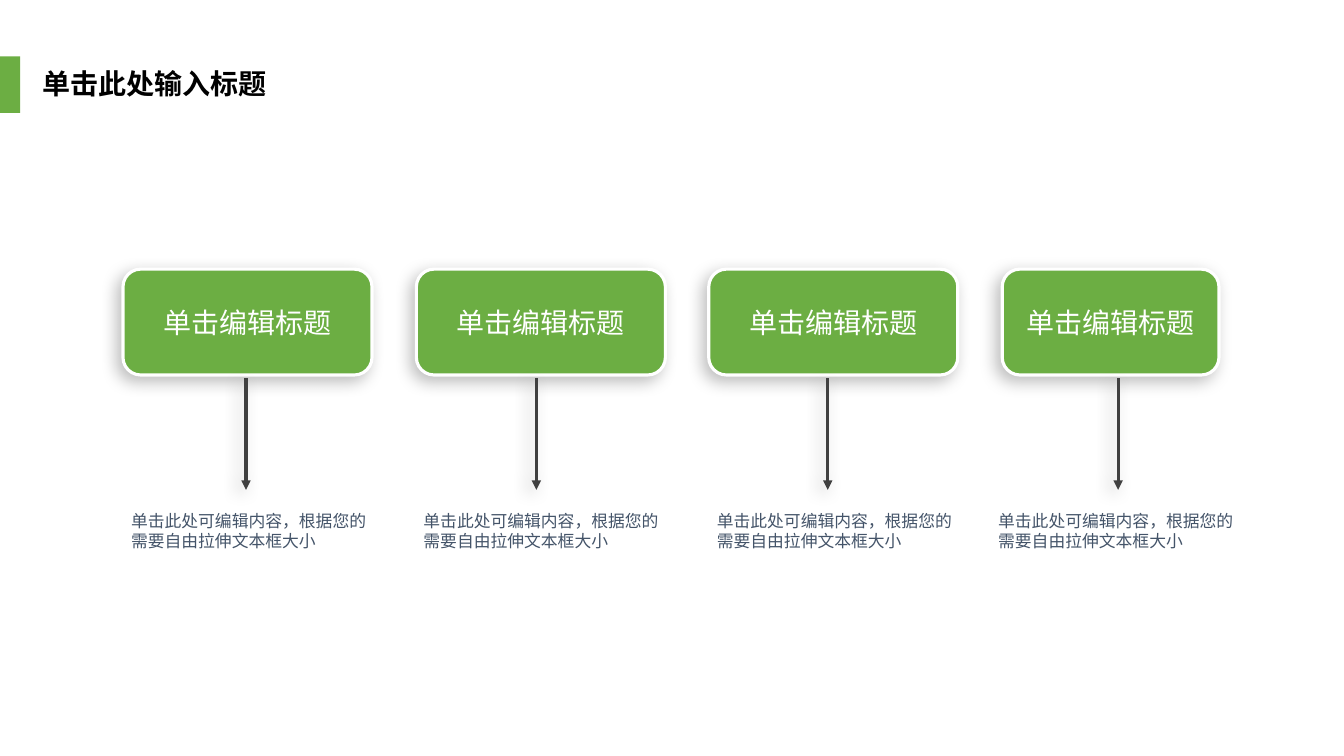
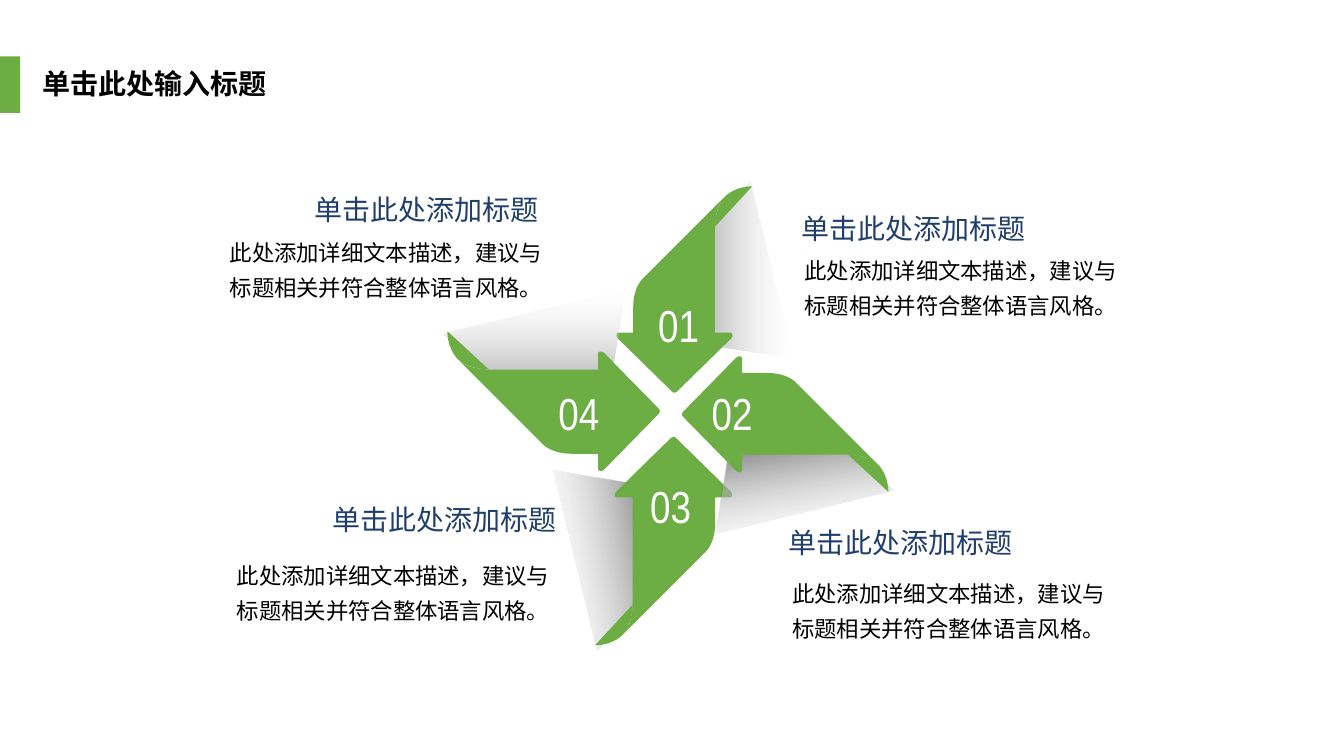
from dataclasses import dataclass

from lxml.etree import SubElement
from pptx import Presentation
from pptx.dml.color import RGBColor
from pptx.enum.shapes import MSO_CONNECTOR as Connector, MSO_SHAPE as Preset
from pptx.enum.text import MSO_ANCHOR as Anchor, MSO_AUTO_SIZE as AutoSize, PP_ALIGN as Align
from pptx.oxml import parse_xml
from pptx.oxml.ns import nsdecls, qn
from pptx.util import Inches, Pt

Point = tuple[float, float]


@dataclass(frozen=True)
class Theme:
    green: str = "6CAE43"
    white: str = "FFFFFF"
    black: str = "000000"
    arrow: str = "404040"
    caption: str = "445469"
    heading: str = "203E6B"
    shade_dark: str = "808080"
    shade_light: str = "F2F2F2"
    east_asian: str = "Noto Sans CJK SC"
    box_font: str = "Calibri"
    caption_font: str = "Arial"
    narrow_font: str = "Arial Narrow"
    title_size: int = 20
    caption_size: int = 12
    body_size: int = 16
    number_size: int = 32
    line_width: float = 2.25


THEME = Theme()


@dataclass(frozen=True)
class Style:
    font: str
    size: int
    color: str
    bold: bool = False
    align: Align = Align.LEFT
    anchor: Anchor = Anchor.TOP
    spacing: float = 1.0
    inset: bool = True


@dataclass(frozen=True)
class Step:
    box_left: float
    box_width: float
    arrow_x: float
    caption_left: float


@dataclass(frozen=True)
class Blade:
    number: str
    tip: Point
    quarter_turns: int
    scale: float
    number_at: Point
    dark_stop: int = 0
    tilt: int = 0


@dataclass(frozen=True)
class Note:
    heading_at: Point
    body_at: Point
    align: Align


TITLE = Style(THEME.east_asian, THEME.title_size, THEME.black, bold=True)
BOX = Style(THEME.box_font, THEME.title_size, THEME.white, align=Align.CENTER, anchor=Anchor.MIDDLE)
CAPTION = Style(THEME.caption_font, THEME.caption_size, THEME.caption, inset=False)
NUMBER = Style(THEME.narrow_font, THEME.number_size, THEME.white, anchor=Anchor.MIDDLE)

STEPS = [
    Step(1.22, 2.47, 2.44, 1.3),
    Step(4.13, 2.47, 5.32, 4.2),
    Step(7.03, 2.47, 8.21, 7.11),
    Step(9.94, 2.15, 11.09, 9.9),
]
BLADES = [
    Blade("01", (6.69, 3.9), 0, 1.0, (6.43, 2.8)),
    Blade("03", (6.68, 4.33), 2, 1.01, (6.35, 4.6), 19, -10),
    Blade("04", (6.55, 4.08), 3, 1.03, (5.44, 3.67)),
    Blade("02", (6.76, 4.11), 1, 1.0, (6.96, 3.67), 24, -10),
]
NOTES = [
    Note((2.04, 1.63), (2.07, 2.1), Align.RIGHT),
    Note((2.22, 4.71), (2.14, 5.31), Align.RIGHT),
    Note((7.85, 1.82), (7.88, 2.28), Align.LEFT),
    Note((7.72, 4.94), (7.76, 5.49), Align.LEFT),
]

# Blade outlines, head pointing down, measured from the tip.
# Each entry is a line end (one point) or a curve (two handles and an end).
SHADE = [[(0.75, -2.1)], [(0.32, -1.64)], [(-0.03, -0.54)], [(1.18, -0.34)]]
FOLD = [
    [(0.4, -1.65)], [(0.77, -2.05)],
    [(0.77, -2.05), (0.63, -2.06), (0.51, -1.96)],
    [(0.44, -1.89), (0.41, -1.8), (0.4, -1.65)],
]
BODY = [
    [(-0.56, -0.54)], [(-0.03, -0.02)],
    [(-0.01, 0), (0.01, 0), (0.03, -0.02)],
    [(0.56, -0.54)],
    [(0.58, -0.56), (0.58, -0.59), (0.56, -0.6)],
    [(0.4, -0.6)], [(0.4, -1.65)],
    [(0.4, -1.65), (0.4, -1.69), (0.41, -1.73)],
    [(0.42, -1.83), (0.45, -1.89), (0.49, -1.94)],
    [(-0.31, -1.14)],
    [(-0.31, -1.14), (-0.42, -1.05), (-0.41, -0.82)],
    [(-0.41, -0.6)], [(-0.56, -0.6)],
    [(-0.58, -0.59), (-0.58, -0.56), (-0.56, -0.54)],
]


def rgb(value: str) -> RGBColor:
    return RGBColor.from_string(value)


def write(shape, text: str, style: Style) -> None:
    """Put one styled run into a shape."""
    frame = shape.text_frame
    frame.word_wrap = True
    frame.auto_size = AutoSize.NONE
    frame.vertical_anchor = style.anchor
    if not style.inset:
        frame.margin_left = frame.margin_right = frame.margin_top = frame.margin_bottom = 0
    para = frame.paragraphs[0]
    para.alignment = style.align
    para.line_spacing = style.spacing
    span = para.add_run()
    span.text = text
    span.font.name = style.font
    span.font.size = Pt(style.size)
    span.font.bold = style.bold
    span.font.color.rgb = rgb(style.color)
    SubElement(span.font._element, qn("a:ea"), typeface=THEME.east_asian)


def add_text(page, at: Point, width: float, height: float, text: str, style: Style) -> None:
    box = page.shapes.add_textbox(Inches(at[0]), Inches(at[1]), Inches(width), Inches(height))
    write(box, text, style)


def paint(shape, color: str) -> None:
    shape.shadow.inherit = False
    shape.fill.solid()
    shape.fill.fore_color.rgb = rgb(color)
    shape.line.fill.background()


def set_line(line, color: str) -> None:
    line.color.rgb = rgb(color)
    line.width = Pt(THEME.line_width)


def cast_shadow(shape) -> None:
    """Give a shape a soft shadow towards the lower left."""
    properties = shape.element.spPr
    for effects in properties.findall(qn("a:effectLst")):
        properties.remove(effects)
    properties.append(parse_xml(
        f'<a:effectLst {nsdecls("a")}><a:outerShdw blurRad="{Pt(12)}" dist="{Pt(5)}" '
        f'dir="{135 * 60000}" algn="tr" rotWithShape="0"><a:srgbClr val="{THEME.black}">'
        '<a:alpha val="26000"/></a:srgbClr></a:outerShdw></a:effectLst>'))


def fade(shape, dark_stop: int, angle: int) -> None:
    """Fill a shape from grey to transparent."""
    shape.fill.background()
    empty = shape.element.spPr.find(qn("a:noFill"))
    gradient = parse_xml(
        f'<a:gradFill {nsdecls("a")} rotWithShape="1"><a:gsLst>'
        f'<a:gs pos="{dark_stop * 1000}"><a:srgbClr val="{THEME.shade_dark}"/></a:gs>'
        f'<a:gs pos="100000"><a:srgbClr val="{THEME.shade_light}"><a:alpha val="0"/></a:srgbClr></a:gs>'
        f'</a:gsLst><a:lin ang="{angle % 360 * 60000}" scaled="0"/></a:gradFill>')
    empty.getparent().replace(empty, gradient)


def trace(outline: list[list[Point]], pieces: int = 8) -> list[Point]:
    """Turn lines and cubic curves into a list of points."""
    points: list[Point] = []
    for segment in outline:
        if len(segment) == 1:
            points.append(segment[0])
            continue
        corners = [points[-1], *segment]
        for index in range(1, pieces + 1):
            t = index / pieces
            weights = ((1 - t) ** 3, 3 * t * (1 - t) ** 2, 3 * t * t * (1 - t), t ** 3)
            points.append((sum(w * x for w, (x, _) in zip(weights, corners)),
                           sum(w * y for w, (_, y) in zip(weights, corners))))
    return points


def place(blade: Blade, point: Point) -> tuple[int, int]:
    """Turn a blade point clockwise, scale it and move it to the slide."""
    x, y = point
    for _ in range(blade.quarter_turns):
        x, y = -y, x
    return Inches(blade.tip[0] + blade.scale * x), Inches(blade.tip[1] + blade.scale * y)


def add_outline(page, blade: Blade, outline: list[list[Point]]):
    start, *others = [place(blade, point) for point in trace(outline)]
    builder = page.shapes.build_freeform(*start)
    builder.add_line_segments(others, close=True)
    shape = builder.convert_to_shape()
    paint(shape, THEME.green)
    return shape


def add_page(deck, title: str):
    """Add a slide with the green band and the title."""
    page = deck.slides.add_slide(deck.slide_layouts[5])
    band = page.shapes.add_shape(Preset.RECTANGLE, 0, Inches(0.56), Inches(0.2), Inches(0.56))
    paint(band, THEME.green)
    heading = page.shapes.title
    heading.left, heading.top = Inches(0.32), Inches(0.61)
    heading.width, heading.height = Inches(2.93), Inches(0.44)
    write(heading, title, TITLE)
    return page


def add_step(page, step: Step) -> None:
    box = page.shapes.add_shape(Preset.ROUNDED_RECTANGLE, Inches(step.box_left), Inches(2.67),
                                Inches(step.box_width), Inches(1.05))
    paint(box, THEME.green)
    set_line(box.line, THEME.white)
    cast_shadow(box)
    write(box, "单击编辑标题", BOX)

    x = Inches(step.arrow_x)
    arrow = page.shapes.add_connector(Connector.STRAIGHT, x, Inches(3.75), x, Inches(4.86))
    set_line(arrow.line, THEME.arrow)
    SubElement(arrow.element.spPr.find(qn("a:ln")), qn("a:tailEnd"), type="triangle")
    cast_shadow(arrow)

    add_text(page, (step.caption_left, 5.07), 2.39, 0.4,
             "单击此处可编辑内容，根据您的需要自由拉伸文本框大小", CAPTION)


def add_blade(page, blade: Blade) -> None:
    shade = add_outline(page, blade, SHADE)
    fade(shade, blade.dark_stop, 90 * blade.quarter_turns + blade.tilt)
    for outline in (FOLD, BODY):
        add_outline(page, blade, outline)
    add_text(page, blade.number_at, 0.83, 0.84, blade.number, NUMBER)


def add_note(page, note: Note) -> None:
    heading = Style(THEME.narrow_font, THEME.title_size, THEME.heading,
                    align=note.align, anchor=Anchor.BOTTOM)
    body = Style(THEME.narrow_font, THEME.body_size, THEME.black,
                 align=note.align, anchor=Anchor.MIDDLE, spacing=1.3)
    add_text(page, note.heading_at, 3.4, 0.66, "单击此处添加标题", heading)
    add_text(page, note.body_at, 3.41, 1.07,
             "此处添加详细文本描述，建议与标题相关并符合整体语言风格。", body)


def main() -> None:
    deck = Presentation()
    deck.slide_width, deck.slide_height = Inches(13.33), Inches(7.5)
    title = "单击此处输入标题"

    # Four steps with arrows
    steps_page = add_page(deck, title)
    for step in STEPS:
        add_step(steps_page, step)

    # Pinwheel with four notes
    pinwheel_page = add_page(deck, title)
    for blade in BLADES:
        add_blade(pinwheel_page, blade)
    for note in NOTES:
        add_note(pinwheel_page, note)

    deck.save("out.pptx")


if __name__ == "__main__":
    main()
